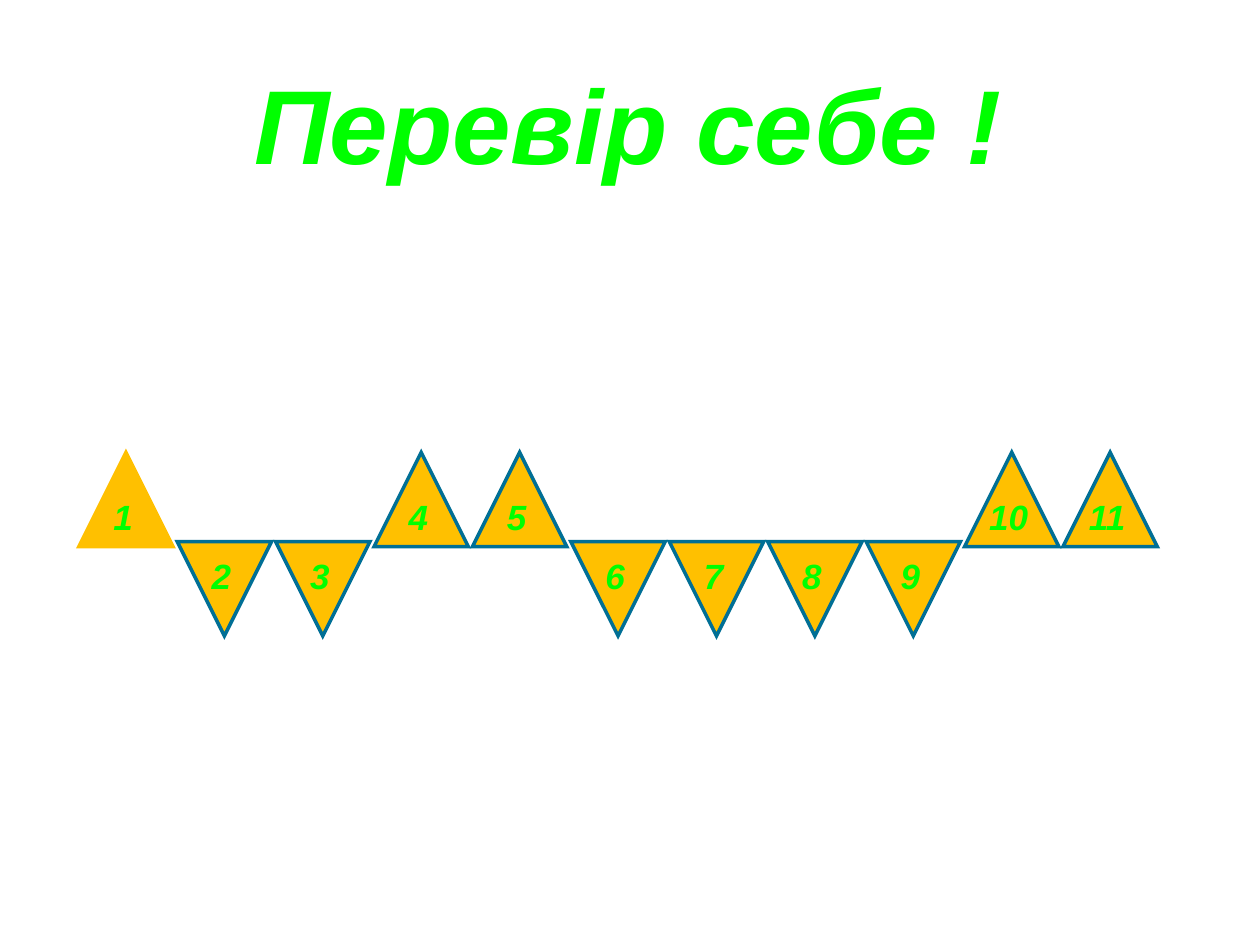
from lxml import etree
from pptx import Presentation
from pptx.dml.color import RGBColor
from pptx.enum.shapes import MSO_SHAPE as Shape
from pptx.enum.text import MSO_ANCHOR as Anchor, PP_ALIGN as Align
from pptx.oxml.ns import qn
from pptx.util import Cm, Pt

GREEN = RGBColor(0x00, 0xFF, 0x00)
AMBER = RGBColor(0xFF, 0xC0, 0x00)
TEAL = RGBColor(0x00, 0x6F, 0x95)

# Row of triangles, in cm
COUNT = 11
POINTING_UP = {1, 4, 5, 10, 11}
FIRST_LEFT, LAST_LEFT = 1.59, 21.43
STEP = (LAST_LEFT - FIRST_LEFT) / (COUNT - 1)
SIDE = 1.9
UP_TOP, DOWN_TOP = 9.12, 10.92
LABEL_UP_TOP, LABEL_DOWN_TOP = 9.53, 10.72
LABEL_INDENT, LABEL_WIDTH, LABEL_HEIGHT = 0.19, 1.4, 1.78


def add_text(slide, text, left, top, width, height, size):
    s = slide.shapes.add_textbox(Cm(left), Cm(top), Cm(width), Cm(height))
    tf = s.text_frame
    tf.word_wrap = True
    tf.vertical_anchor = Anchor.MIDDLE
    p = tf.paragraphs[0]
    p.text = text
    p.alignment = Align.CENTER
    font = p.font
    font.name, font.size = "Arial", Pt(size)
    font.bold = font.italic = True
    font.color.rgb = GREEN


def add_triangle(slide, number, left):
    up = number in POINTING_UP
    kind = Shape.FLOWCHART_EXTRACT if up else Shape.FLOWCHART_MERGE
    top = UP_TOP if up else DOWN_TOP
    s = slide.shapes.add_shape(kind, Cm(left), Cm(top), Cm(SIDE), Cm(SIDE))
    s.shadow.inherit = False
    s.fill.solid()
    s.fill.fore_color.rgb = AMBER
    s.line.color.rgb = AMBER if number == 1 else TEAL
    s.line.width = Pt(2)
    # Sharp corners
    ln = s.line._get_or_add_ln()
    etree.SubElement(ln, qn("a:miter")).set("lim", "800000")


def add_label(slide, number, left):
    top = LABEL_UP_TOP if number in POINTING_UP else LABEL_DOWN_TOP
    add_text(slide, str(number), left + LABEL_INDENT, top,
             LABEL_WIDTH, LABEL_HEIGHT, 20)


def main():
    prs = Presentation()
    prs.slide_width, prs.slide_height = Cm(25.4), Cm(19.05)
    slide = prs.slides.add_slide(prs.slide_layouts[6])

    # Title
    add_text(slide, "Перевір себе !", 0.84, 0.64, 23.65, 3.68, 60)

    # Triangles, then their numbers on top
    for add_part in (add_triangle, add_label):
        for i in range(COUNT):
            add_part(slide, i + 1, FIRST_LEFT + i * STEP)

    prs.save("out.pptx")


if __name__ == "__main__":
    main()
